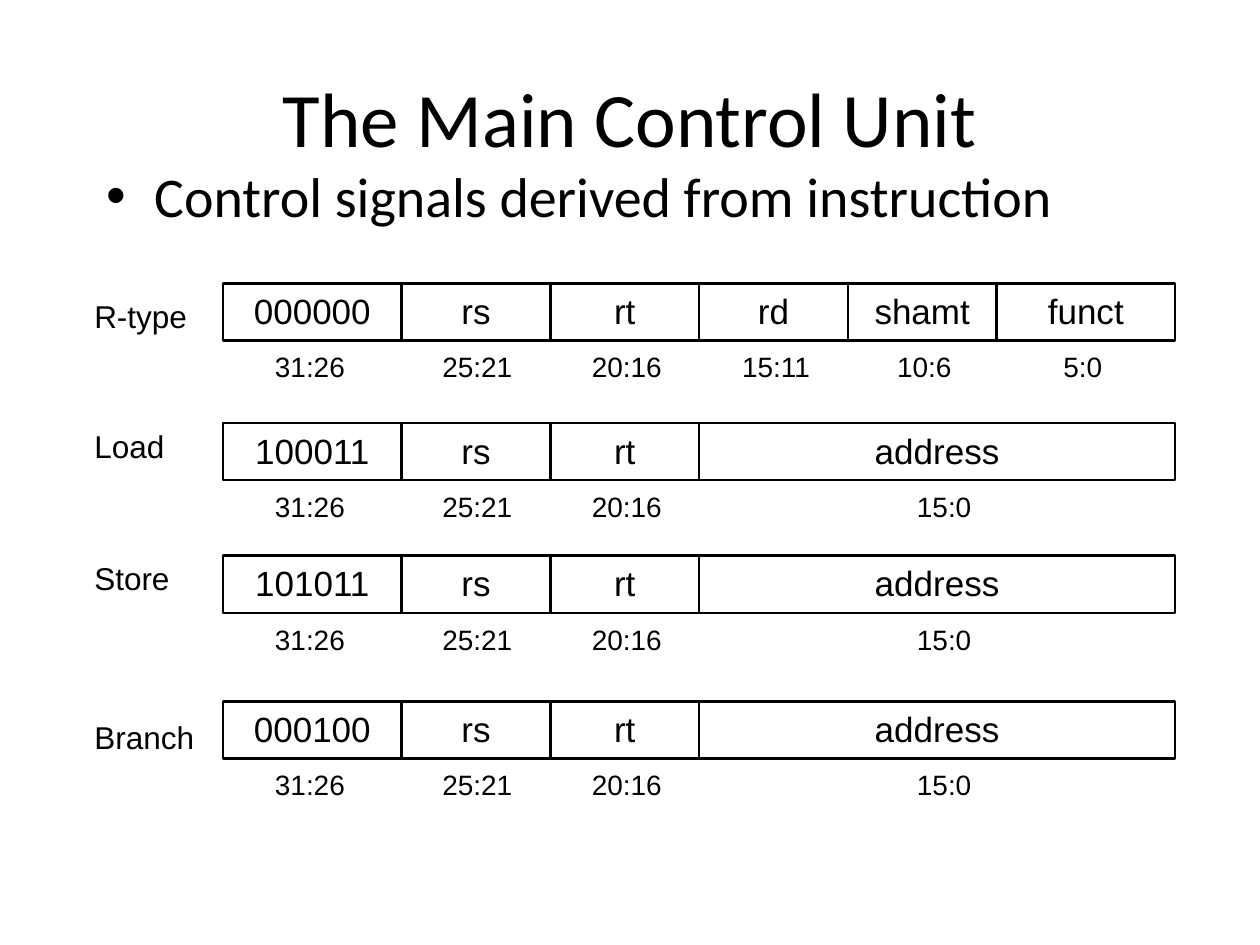
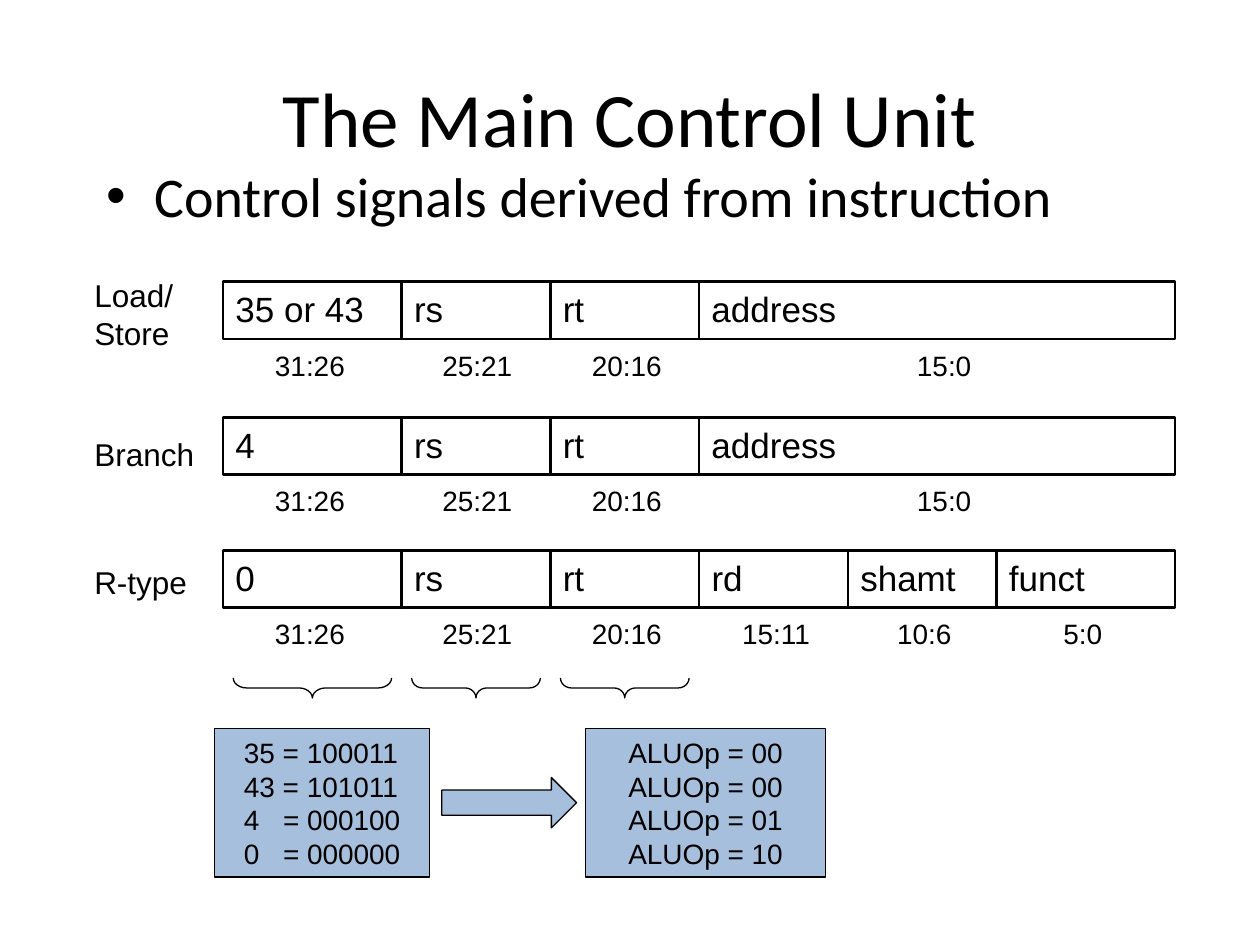
from lxml.etree import SubElement
from pptx import Presentation
from pptx.dml.color import RGBColor
from pptx.enum.shapes import MSO_SHAPE as Shape
from pptx.enum.text import MSO_ANCHOR as Anchor, PP_ALIGN as Align
from pptx.oxml.ns import qn
from pptx.util import Pt

TITLE = "The Main Control Unit"
BULLET = "Control signals derived from instruction"
BLACK, BLUE = "000000", "4F81BD"

I_TYPE = {"31:26": None, "25:21": "rs", "20:16": "rt", "15:0": "address"}
R_TYPE = {"31:26": None, "25:21": "rs", "20:16": "rt",
          "15:11": "rd", "10:6": "shamt", "5:0": "funct"}

BINARY_FORMATS = [
    ("R-type", 166.3, "000000", R_TYPE, 162),
    ("Load", 240.5, "100011", I_TYPE, 241.7),
    ("Store", 316.1, "101011", I_TYPE, 317.6),
    ("Branch", 406.8, "000100", I_TYPE, 400.8),
]
DECIMAL_FORMATS = [
    ("Load/\nStore", 154.1, "35 or 43", I_TYPE, 161),
    ("Branch", 244.8, "4", I_TYPE, 238.5),
    ("R-type", 318.2, "0", R_TYPE, 314.5),
]
OPCODES = ["35 = 100011", "43 = 101011", "4\t= 000100", "0\t= 000000"]
ALU_OPS = ["ALUOp = 00", "ALUOp = 00", "ALUOp = 01", "ALUOp = 10"]
BRACES = {"31:26": 0.67, "25:21": 0.54, "20:16": 0.54}

LABEL_WIDTHS = {"R-type": 67.7, "Load": 54.7, "Store": 58.3, "Branch": 71.3, "Load/\nStore": 59.8}
RANGE_SHIFTS = {"31:26": -1.4, "25:21": 0.8, "20:16": 1.2, "15:11": 1.4,
                "10:6": 1.2, "5:0": -1.8, "15:0": 4}
WORD_LEFT, BIT_WIDTH, CELL_HEIGHT = 127.5, 17, 32.7
BRACE_MARGIN, BRACE_DEPTH, BRACE_MIDDLE = 5.75, 11.5, 393.1


def color(value):
    return RGBColor.from_string(value)


def write(shape, lines, size, align=Align.LEFT, anchor=Anchor.TOP, wrap=True,
          font="Arial", bullet=None, tab=None):
    frame = shape.text_frame
    frame.word_wrap = wrap
    frame.vertical_anchor = anchor
    for index, line in enumerate(lines):
        paragraph = frame.add_paragraph() if index else frame.paragraphs[0]
        paragraph.text = line
        paragraph.alignment = align
        properties = paragraph._p.get_or_add_pPr()
        if bullet:
            properties.set("marL", str(Pt(27)))
            properties.set("indent", str(-Pt(27)))
            SubElement(properties, qn("a:buFont"), typeface="Arial")
            SubElement(properties, qn("a:buChar"), char=bullet)
        if tab:
            tabs = SubElement(properties, qn("a:tabLst"))
            SubElement(tabs, qn("a:tab"), pos=str(Pt(tab)), algn="l")
        paragraph.font.size = Pt(size)
        paragraph.font.name = font
        paragraph.font.color.rgb = color(BLACK)


def add_text(slide, box, lines, size, **style):
    write(slide.shapes.add_textbox(*map(Pt, box)), lines, size, **style)


def add_outline(slide, kind, box, line_width, fill=None):
    shape = slide.shapes.add_shape(kind, *map(Pt, box))
    shape.shadow.inherit = False
    shape.line.color.rgb = color(BLACK)
    shape.line.width = Pt(line_width)
    if fill:
        shape.fill.solid()
        shape.fill.fore_color.rgb = color(fill)
        SubElement(shape.fill._xPr.find(".//" + qn("a:srgbClr")), qn("a:alpha"), val="50000")
    else:
        shape.fill.background()
    return shape


def field_span(bits):
    high, low = map(int, bits.split(":"))
    return WORD_LEFT + (31 - high) * BIT_WIDTH, (high - low + 1) * BIT_WIDTH


def add_format(slide, label, label_top, opcode, fields, top, align):
    add_text(slide, (46.8, label_top, LABEL_WIDTHS[label], 28.8), [label], 18, wrap=False)
    for bits, name in fields.items():
        left, width = field_span(bits)
        cell = add_outline(slide, Shape.RECTANGLE, (left, top, width, CELL_HEIGHT), 1.5)
        write(cell, [name or opcode], 20, align)
        range_width = 18.85 + 8.9 * (len(bits) - 1)
        range_left = left + (width - range_width) / 2 + RANGE_SHIFTS[bits]
        add_text(slide, (range_left, top + 34.4, range_width, 26.6), [bits], 16,
                 align=Align.CENTER, wrap=False)


def add_format_slide(presentation, formats, align):
    slide = presentation.slides.add_slide(presentation.slide_layouts[6])
    add_text(slide, (36, 21.6, 648, 90), [TITLE], 44, align=Align.CENTER,
             anchor=Anchor.MIDDLE, font="Calibri")
    add_text(slide, (54, 88.6, 651.6, 54.7), [BULLET], 32, font="Calibri", bullet="•")
    for row in formats:
        add_format(slide, *row, align)
    return slide


def add_brace(slide, bits, curve):
    left, width = field_span(bits)
    length = width - 2 * BRACE_MARGIN
    box = (left + (width - BRACE_DEPTH) / 2, BRACE_MIDDLE - length / 2, BRACE_DEPTH, length)
    brace = add_outline(slide, Shape.LEFT_BRACE, box, 0.75)
    brace.rotation = 270
    brace.adjustments[0] = curve


def add_opcode_mapping(slide):
    for bits, curve in BRACES.items():
        add_brace(slide, bits, curve)
    opcodes = add_outline(slide, Shape.RECTANGLE, (122.4, 416.2, 123.1, 85), 0.75, BLUE)
    opcodes.text_frame.margin_left = Pt(17)
    write(opcodes, OPCODES, 16, anchor=Anchor.MIDDLE, tab=22.3)
    alu_ops = add_outline(slide, Shape.RECTANGLE, (334.8, 416.2, 136.8, 85), 0.75, BLUE)
    write(alu_ops, ALU_OPS, 16, Align.CENTER, Anchor.MIDDLE)
    add_outline(slide, Shape.RIGHT_ARROW, (252.5, 444.3, 77, 28.8), 0.75, BLUE)


def main():
    presentation = Presentation()
    presentation.slide_width, presentation.slide_height = Pt(720), Pt(540)
    add_format_slide(presentation, BINARY_FORMATS, Align.CENTER)
    add_opcode_mapping(add_format_slide(presentation, DECIMAL_FORMATS, Align.LEFT))
    presentation.save("out.pptx")


if __name__ == "__main__":
    main()
